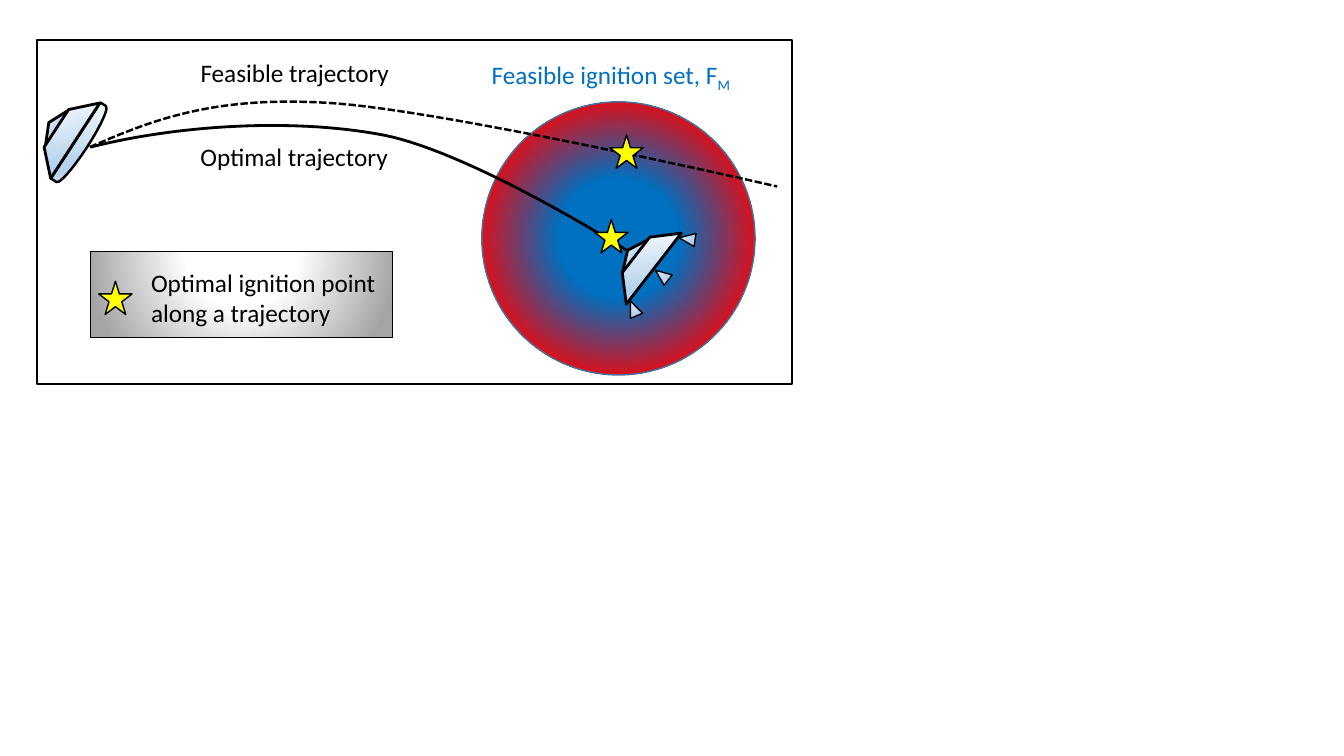
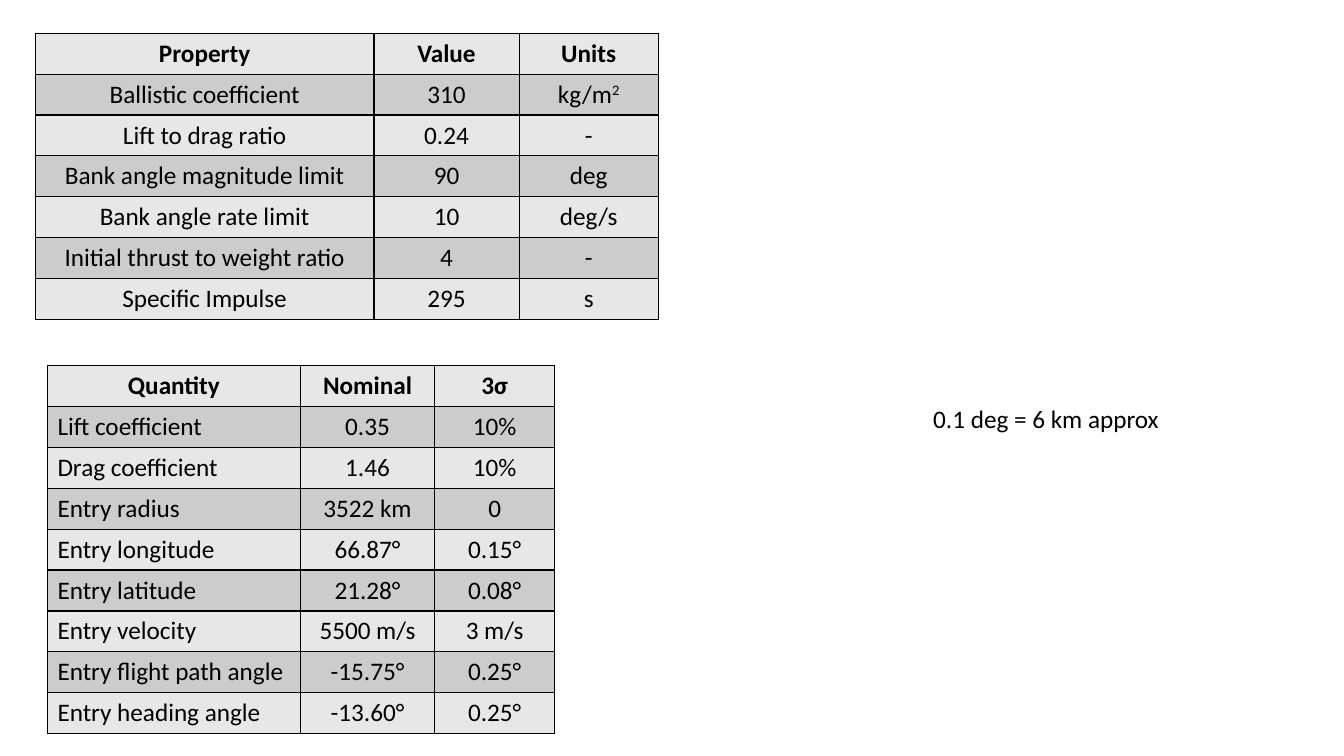
from lxml.etree import SubElement
from pptx import Presentation
from pptx.dml.color import RGBColor
from pptx.enum.dml import MSO_LINE
from pptx.enum.shapes import MSO_SHAPE
from pptx.enum.text import MSO_ANCHOR, PP_ALIGN
from pptx.oxml.ns import qn
from pptx.util import Inches, Pt

COLORS = {
    "black": "000000",
    "white": "FFFFFF",
    "blue": "0070C0",
    "red": "FF0000",
    "circle_edge": "43739E",
    "yellow": "FFFF00",
    "gray": "A5A5A5",
    "light_row": "E7E7E7",
    "dark_row": "CCCCCC",
    "hull_light": "F7FAFD",
    "hull_mid": "B5D2EC",
    "hull_end": "CEE1F2",
}
FONT = "Calibri"
SLIDE_WIDTH, SLIDE_HEIGHT = Inches(13.33), Inches(7.5)
GRID_COLUMNS = 100
UNIT = SLIDE_WIDTH / GRID_COLUMNS
TEXT_ROW = 3
TABLE_ROW = 3.04
STAR_SIZE = 2.48
HULL_STOPS = [(0, "hull_light"), (74, "hull_mid"), (83, "hull_mid"), (100, "hull_end")]

VEHICLE_ROWS = [
    ("Property", "Value", "Units"),
    ("Ballistic coefficient", "310", "kg/m^2"),
    ("Lift to drag ratio", "0.24", "-"),
    ("Bank angle magnitude limit", "90", "deg"),
    ("Bank angle rate limit", "10", "deg/s"),
    ("Initial thrust to weight ratio", "4", "-"),
    ("Specific Impulse", "295", "s"),
]
DISPERSION_ROWS = [
    ("Quantity", "Nominal", "3σ"),
    ("Lift coefficient", "0.35", "10%"),
    ("Drag coefficient", "1.46", "10%"),
    ("Entry radius", "3522 km", "0"),
    ("Entry longitude", "66.87°", "0.15°"),
    ("Entry latitude", "21.28°", "0.08°"),
    ("Entry velocity", "5500 m/s", "3 m/s"),
    ("Entry flight path angle", "-15.75°", "0.25°"),
    ("Entry heading angle", "-13.60°", "0.25°"),
]
FEASIBLE_CURVE = [
    (6.68, 10.95), (11.18, 9), (15.75, 7.13), (24.3, 7.65),
    (32.78, 8.1), (57.83, 13.88), (57.83, 13.88),
]
OPTIMAL_CURVE = [
    (6.75, 10.95), (13.28, 9.3), (21.83, 8.78), (28.5, 10.05),
    (35.1, 11.33), (46.58, 18.6), (46.58, 18.6),
]


def grid(*lengths):
    return [round(length * UNIT) for length in lengths]


def rgb(name):
    return RGBColor.from_string(COLORS[name])


def write_text(para, text, color="black", bold=False, align=PP_ALIGN.LEFT,
               suffix="", baseline=0):
    para.alignment = align
    for part, shift in ((text, 0), (suffix, baseline)):
        if not part:
            continue
        span = para.add_run()
        span.text = part
        span.font.name, span.font.size, span.font.bold = FONT, Pt(18), bold
        span.font.color.rgb = rgb(color)
        if shift:
            span.font._element.set("baseline", str(shift * 1000))


def add_label(page, text, left, top, width, height=TEXT_ROW, wrap=False, **style):
    box = page.shapes.add_textbox(*grid(left, top, width, height))
    box.text_frame.word_wrap = wrap
    write_text(box.text_frame.paragraphs[0], text, **style)


def fill_gradient(shape, stops, center=None):
    shape.fill.gradient()
    gradient = shape.element.spPr.find(qn("a:gradFill"))
    for child in list(gradient):
        gradient.remove(child)
    gradient.set("rotWithShape", "1")
    stop_list = SubElement(gradient, qn("a:gsLst"))
    for position, name in stops:
        stop = SubElement(stop_list, qn("a:gs"), pos=str(position * 1000))
        SubElement(stop, qn("a:srgbClr"), val=COLORS[name])
    if center is None:
        SubElement(gradient, qn("a:lin"), ang="5400000", scaled="0")
    else:
        radial = SubElement(gradient, qn("a:path"), {"path": "circle"})
        edges = {side: str(share * 1000) for side, share in zip("ltrb", center)}
        SubElement(radial, qn("a:fillToRect"), edges)


def draw_outline(shape, color="black", weight=1, dash=None):
    shape.shadow.inherit = False
    shape.line.color.rgb = rgb(color)
    shape.line.width = Pt(weight)
    if dash:
        shape.line.dash_style = dash


def add_figure(page, kind, left, top, width, height, fill=None, stops=None,
               center=None, rotation=0, **outline):
    shape = page.shapes.add_shape(kind, *grid(left, top, width, height))
    shape.rotation = rotation % 360
    draw_outline(shape, **outline)
    if stops:
        fill_gradient(shape, stops, center)
    elif fill:
        shape.fill.solid()
        shape.fill.fore_color.rgb = rgb(fill)
    else:
        shape.fill.background()


def add_star(page, left, top):
    add_figure(page, MSO_SHAPE.STAR_5_POINT, left, top, STAR_SIZE, STAR_SIZE, fill="yellow")


def add_capsule(page, left, top, tilt):
    add_figure(page, MSO_SHAPE.ISOSCELES_TRIANGLE, left - 0.9, top + 0.85, 3.23, 0.75,
               stops=HULL_STOPS, rotation=tilt - 45, weight=2)
    add_figure(page, MSO_SHAPE.DIAGONAL_STRIPE, left, top, 4.73, 4.73,
               stops=HULL_STOPS, rotation=tilt, weight=2)


def bezier_point(controls, share):
    rest = 1 - share
    weights = (rest ** 3, 3 * rest ** 2 * share, 3 * rest * share ** 2, share ** 3)
    return tuple(sum(w * point[axis] for w, point in zip(weights, controls)) for axis in (0, 1))


def add_trajectory(page, points, steps=30, **outline):
    curve = [grid(*bezier_point(points[start:start + 4], step / steps))
             for start in range(0, len(points) - 1, 3)
             for step in range(1, steps + 1)]
    builder = page.shapes.build_freeform(*grid(*points[0]))
    builder.add_line_segments(curve, close=False)
    shape = builder.convert_to_shape()
    shape.fill.background()
    draw_outline(shape, **outline)


def format_cell(cell, color):
    properties = cell._tc.get_or_add_tcPr()
    for side in ("lnL", "lnR", "lnT", "lnB"):
        border = SubElement(properties, qn(f"a:{side}"), w=str(Pt(1)))
        paint = SubElement(border, qn("a:solidFill"))
        SubElement(paint, qn("a:srgbClr"), val=COLORS["black"])
    cell.fill.solid()
    cell.fill.fore_color.rgb = rgb(color)
    cell.vertical_anchor = MSO_ANCHOR.MIDDLE


def add_grid_table(page, rows, left, top, widths, first_align=PP_ALIGN.CENTER):
    frame = page.shapes.add_table(len(rows), len(widths),
                                  *grid(left, top, sum(widths), TABLE_ROW * len(rows)))
    table = frame.table
    for column, width in zip(table.columns, grid(*widths)):
        column.width = width
    for row_index, row in enumerate(rows):
        for column_index, content in enumerate(row):
            cell = table.cell(row_index, column_index)
            format_cell(cell, "dark_row" if row_index % 2 else "light_row")
            text, _, power = content.partition("^")
            in_first = row_index > 0 and column_index == 0
            write_text(cell.text_frame.paragraphs[0], text, bold=row_index == 0,
                       align=first_align if in_first else PP_ALIGN.CENTER,
                       suffix=power, baseline=30)


def add_legend(page):
    add_figure(page, MSO_SHAPE.RECTANGLE, 6.75, 18.75, 22.43, 6.38,
               stops=[(0, "white"), (35, "white"), (100, "gray")],
               center=(50, -80, 50, 180), weight=0.75)
    add_label(page, "Optimal ignition point along a trajectory",
              10.5, 19.5, 19.13, 5.33, wrap=True)
    add_star(page, 7.35, 20.93)


def build_trajectory_page(page):
    add_figure(page, MSO_SHAPE.OVAL, 35.85, 7.58, 20.33, 20.33,
               stops=[(31, "blue"), (78, "red")], center=(50, 50, 50, 50),
               color="circle_edge")
    entry_tilt, landing_tilt = 348.1, 352.8
    add_figure(page, MSO_SHAPE.FLOWCHART_DELAY, 5.55, 7.35, 0.98, 6.75,
               stops=HULL_STOPS, rotation=entry_tilt + 45, weight=1.75)
    add_capsule(page, 3.23, 8.1, entry_tilt)
    add_trajectory(page, FEASIBLE_CURVE, weight=1.75, dash=MSO_LINE.SQUARE_DOT)
    add_trajectory(page, OPTIMAL_CURVE, weight=2)
    add_star(page, 45.38, 10.05)
    add_star(page, 44.25, 16.35)
    add_label(page, "Feasible ignition set, F", 35.85, 4.05, 19.73,
              color="blue", suffix="M", baseline=-25)
    add_label(page, "Optimal trajectory", 14.18, 10.13, 15.6)
    add_label(page, "Feasible trajectory", 14.18, 3.9, 15.68)
    add_legend(page)
    add_capsule(page, 46.28, 17.63, landing_tilt)
    for left, top, turn in ((48.75, 19.88, -45), (46.65, 22.35, -15), (50.63, 17.18, -75)):
        add_figure(page, MSO_SHAPE.ISOSCELES_TRIANGLE, left, top, 0.98, 1.2,
                   stops=HULL_STOPS, rotation=landing_tilt + turn)
    add_figure(page, MSO_SHAPE.RECTANGLE, 2.78, 3, 56.18, 25.58, weight=1.25)


def build_parameter_page(page):
    add_grid_table(page, VEHICLE_ROWS, 2.63, 2.48, (25.2, 10.8, 10.35))
    add_grid_table(page, DISPERSION_ROWS, 3.53, 27.23, (18.83, 9.98, 8.93),
                   first_align=PP_ALIGN.LEFT)
    add_label(page, "0.1 deg = 6 km approx", 68.7, 29.63, 18.53)


def main():
    deck = Presentation()
    deck.slide_width, deck.slide_height = SLIDE_WIDTH, SLIDE_HEIGHT
    blank = deck.slide_layouts[6]
    for build in (build_trajectory_page, build_parameter_page):
        build(deck.slides.add_slide(blank))
    deck.save("out.pptx")


if __name__ == "__main__":
    main()
